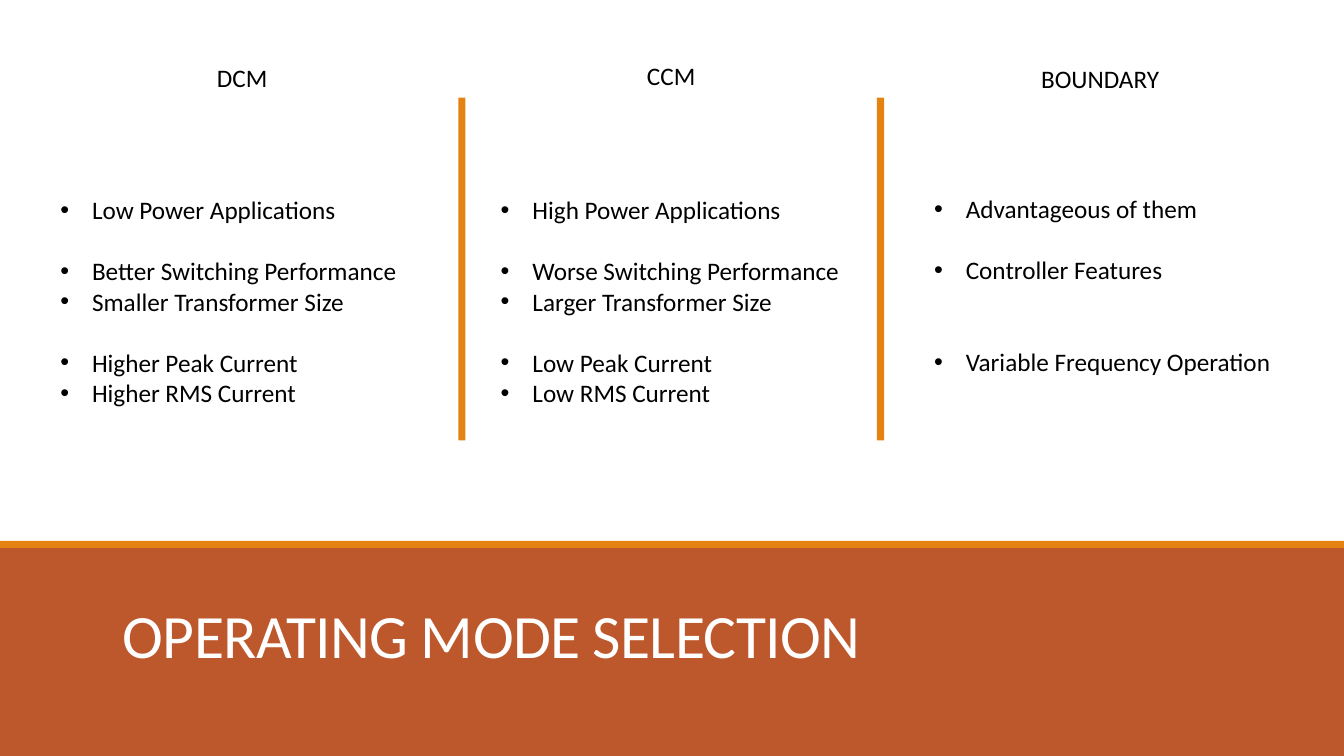
from lxml import etree
from pptx import Presentation
from pptx.dml.color import RGBColor
from pptx.enum.shapes import MSO_SHAPE
from pptx.enum.text import MSO_ANCHOR, MSO_AUTO_SIZE, PP_ALIGN
from pptx.oxml.ns import qn
from pptx.util import Cm, Pt

RECTANGLE = MSO_SHAPE.RECTANGLE
BOTTOM, TOP = MSO_ANCHOR.BOTTOM, MSO_ANCHOR.TOP
LEFT, CENTER = PP_ALIGN.LEFT, PP_ALIGN.CENTER
FIT_SHAPE, NO_FIT = MSO_AUTO_SIZE.SHAPE_TO_FIT_TEXT, MSO_AUTO_SIZE.NONE

ORANGE = RGBColor(0xE4, 0x83, 0x12)
RUST = RGBColor(0xBD, 0x58, 0x2C)
BLACK = RGBColor(0, 0, 0)
WHITE = RGBColor(255, 255, 255)

SLIDE_WIDTH, SLIDE_HEIGHT = 33.87, 19.05
RULE_WIDTH = 0.18
LINE_PITCH = 22  # points taken by one line of 18 pt text


def write(paragraph, text, *, size=18, color=BLACK, font="Calibri",
          align=LEFT, line_spacing=None, tracking=None):
    paragraph.alignment = align
    if line_spacing:
        paragraph.line_spacing = line_spacing
    run = paragraph.add_run()
    run.text = text
    run.font.name = font
    run.font.size = Pt(size)
    run.font.color.rgb = color
    if tracking is not None:
        run.font._element.set("spc", str(round(tracking * 100)))


def add_bullet(paragraph, indent=0.8):
    properties = paragraph._p.get_or_add_pPr()
    properties.set("marL", str(Cm(indent)))
    properties.set("indent", str(-Cm(indent)))
    etree.SubElement(properties, qn("a:buFont")).set("typeface", "Arial")
    etree.SubElement(properties, qn("a:buChar")).set("char", "•")


class ModeSlide:
    def __init__(self, presentation):
        self.slide = presentation.slides.add_slide(presentation.slide_layouts[5])
        self.shapes = self.slide.shapes

    def bar(self, left, top, width, height, color):
        bar = self.shapes.add_shape(
            RECTANGLE, Cm(left), Cm(top), Cm(width), Cm(height))
        bar.shadow.inherit = False
        bar.fill.solid()
        bar.fill.fore_color.rgb = color
        bar.line.fill.background()

    def title(self, text, left, top, width, height):
        title = self.shapes.title
        title.left, title.top = Cm(left), Cm(top)
        title.width, title.height = Cm(width), Cm(height)
        frame = title.text_frame
        frame.auto_size = NO_FIT
        frame.vertical_anchor = BOTTOM
        write(frame.paragraphs[0], text, size=44, color=WHITE,
              line_spacing=0.85, tracking=-0.5)
        # Bring the title in front of the band
        title.element.getparent().append(title.element)

    def text_frame(self, left, top, width, height):
        box = self.shapes.add_textbox(Cm(left), Cm(top), Cm(width), Cm(height))
        frame = box.text_frame
        frame.word_wrap = True
        frame.auto_size = FIT_SHAPE
        frame.vertical_anchor = TOP
        return frame

    def heading(self, text, left, top):
        frame = self.text_frame(left, top, 8.05, 1.02)
        write(frame.paragraphs[0], text, align=CENTER)

    def bullets(self, items, left, top, width, height):
        frame = self.text_frame(left, top, width, height)
        for number, (text, lines_before) in enumerate(items):
            paragraph = frame.add_paragraph() if number else frame.paragraphs[0]
            paragraph.space_before = Pt(lines_before * LINE_PITCH)
            write(paragraph, text)
            add_bullet(paragraph)


# Each mode: heading, heading top, list left, top, width, height,
# and its points with the number of lines left free above each
MODES = [
    ("DCM", 1.45, 1.27, 4.78, 9.35, 5.64, [
        ("Low Power Applications", 0),
        ("Better Switching Performance", 1),
        ("Smaller Transformer Size", 0),
        ("Higher Peak Current", 1),
        ("Higher RMS Current", 0)]),
    ("CCM", 1.4, 12.37, 4.78, 9.07, 5.64, [
        ("High Power Applications", 0),
        ("Worse Switching Performance", 1),
        ("Larger Transformer Size", 0),
        ("Low Peak Current", 1),
        ("Low RMS Current", 0)]),
    ("BOUNDARY", 1.48, 23.29, 4.75, 9.32, 4.88, [
        ("Advantageous of them", 0),
        ("Controller Features", 1),
        ("Variable Frequency Operation", 2)]),
]


def main():
    presentation = Presentation()
    presentation.slide_width = Cm(SLIDE_WIDTH)
    presentation.slide_height = Cm(SLIDE_HEIGHT)
    page = ModeSlide(presentation)

    # Title band
    band_top = 13.77
    page.bar(0, band_top, SLIDE_WIDTH, SLIDE_HEIGHT - band_top, RUST)
    page.bar(0, 13.63, SLIDE_WIDTH, RULE_WIDTH, ORANGE)
    page.title("OPERATING MODE SELECTION", 2.84, 14.76, 27.94, 2.29)

    # Dividers between the modes
    for divider_left in (11.55, 22.1):
        page.bar(divider_left, 2.46, RULE_WIDTH, 8.64, ORANGE)

    # Mode columns
    for column, (name, name_top, left, top, width, height, points) in enumerate(MODES):
        page.heading(name, 2.08 + column * 10.81, name_top)
        page.bullets(points, left, top, width, height)

    presentation.save("out.pptx")


if __name__ == "__main__":
    main()
